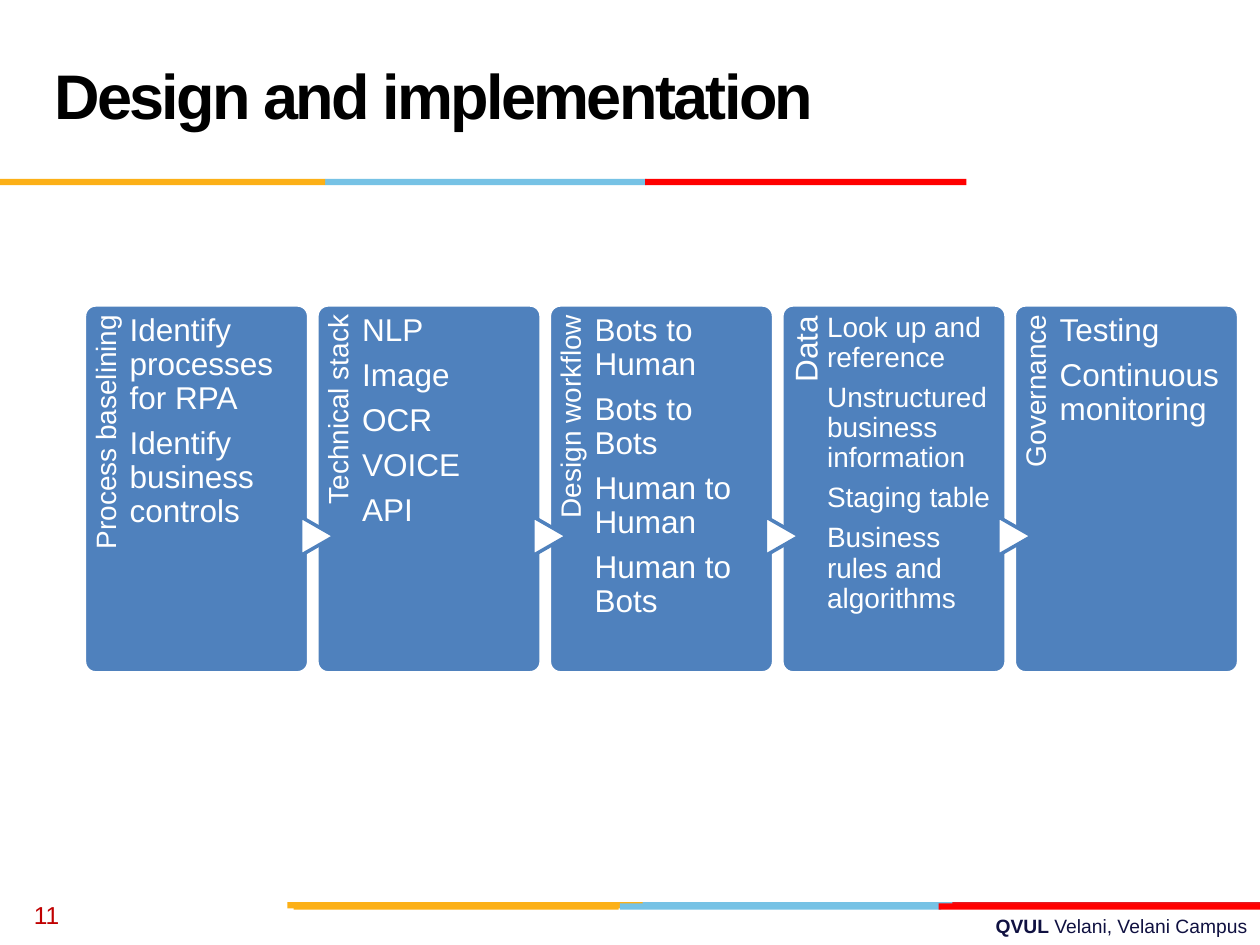
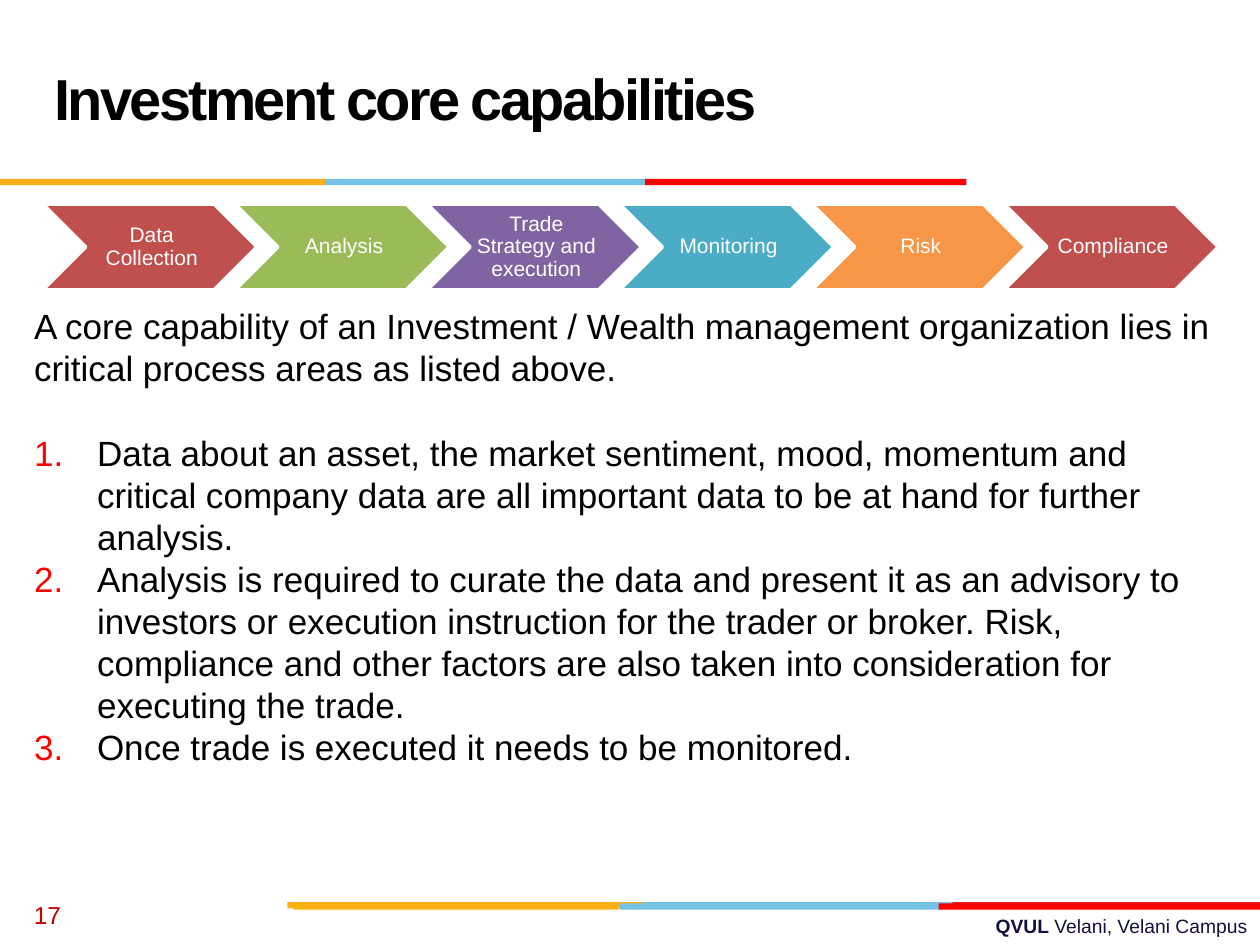
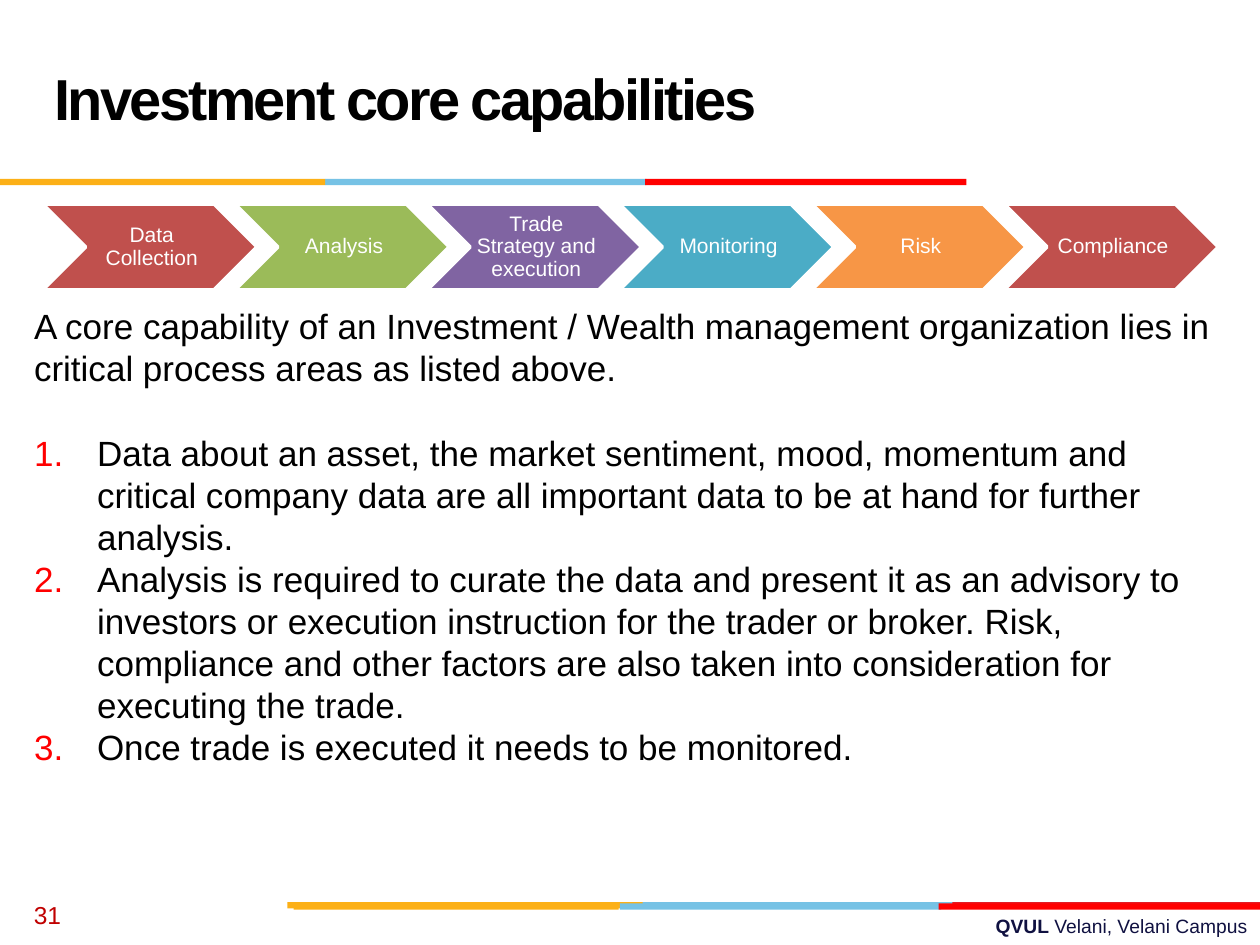
from lxml import etree
from pptx import Presentation
from pptx.dml.color import RGBColor
from pptx.enum.shapes import MSO_SHAPE
from pptx.enum.text import MSO_ANCHOR, MSO_AUTO_SIZE, PP_ALIGN
from pptx.oxml.ns import qn
from pptx.util import Inches, Pt

RECT = MSO_SHAPE.RECTANGLE
ROUND = MSO_SHAPE.ROUNDED_RECTANGLE
CHEVRON = MSO_SHAPE.CHEVRON
ARROW = MSO_SHAPE.FLOWCHART_EXTRACT
LEFT, CENTER, RIGHT = PP_ALIGN.LEFT, PP_ALIGN.CENTER, PP_ALIGN.RIGHT
TOP, MIDDLE = MSO_ANCHOR.TOP, MSO_ANCHOR.MIDDLE
FIXED = MSO_AUTO_SIZE.NONE

FONT = "Arial"
WHITE, BLACK, NAVY, CRIMSON = "FFFFFF", "000000", "101141", "C00000"
GOLD, SKY, RED, BRICK = "FCB017", "76C2E5", "FF0000", "E31C24"
BLUE = "4F81BD"
INSET = (0.1, 0.05, 0.1, 0.05)
TITLE_ONLY, CONTENT = 5, 1

BANDS = [
    (7.16, [(5.06, 2.55, SKY), (7.56, 2.44, BRICK), (2.28, 2.82, GOLD)]),
    (7.17, [(4.92, 2.55, SKY), (2.33, 2.58, GOLD), (7.45, 2.55, RED)]),
    (1.42, [(2.58, 2.55, SKY), (0, 2.58, GOLD), (5.12, 2.55, RED)]),
]
COLUMNS = [
    ("Process baselining", 16, 18,
     ["Identify processes for RPA", "Identify business controls"]),
    ("Technical stack", 16, 18, ["NLP", "Image", "OCR", "VOICE", "API"]),
    ("Design workflow", 16, 18,
     ["Bots to Human", "Bots to Bots", "Human to Human", "Human to Bots"]),
    ("Data", 18, 16,
     ["Look up and reference", "Unstructured business information",
      "Staging table", "Business rules and algorithms"]),
    ("Governance", 16, 18, ["Testing", "Continuous monitoring"]),
]
STEPS = [
    ("Data Collection", "C0504D"),
    ("Analysis", "9BBB59"),
    ("Trade Strategy and execution", "8064A2"),
    ("Monitoring", "4BACC6"),
    ("Risk", "F79646"),
    ("Compliance", "C0504D"),
]
INTRO = ("A core capability of an Investment / Wealth management organization "
         "lies in critical process areas as listed above.")
POINTS = [
    "Data about an asset, the market sentiment, mood, momentum and critical "
    "company data are all important data to be at hand for further analysis.",
    "Analysis is required to curate the data and present it as an advisory to "
    "investors or execution instruction for the trader or broker. Risk, "
    "compliance and other factors are also taken into consideration for "
    "executing the trade.",
    "Once trade is executed it needs to be monitored.",
]


def paint(target, color):
    """Set a solid colour on a fill."""
    target.solid()
    target.fore_color.rgb = RGBColor.from_string(color)


def place(shape, box):
    """Move a shape to a box given in inches."""
    shape.left, shape.top, shape.width, shape.height = map(Inches, box)


def frame(shape, inset=INSET, anchor=TOP):
    """Set up a wrapping text frame and return it."""
    text = shape.text_frame
    text.word_wrap = True
    text.auto_size = FIXED
    text.vertical_anchor = anchor
    (text.margin_left, text.margin_top,
     text.margin_right, text.margin_bottom) = map(Inches, inset)
    return text


def label(slide, box, inset=INSET, anchor=TOP, turn=0):
    """Add a text box and return its frame."""
    shape = slide.shapes.add_textbox(*map(Inches, box))
    shape.rotation = turn
    return frame(shape, inset, anchor)


def add_run(para, text, size, color, bold=False):
    """Add one formatted run."""
    run = para.add_run()
    run.text = text
    font = run.font
    font.name, font.size, font.bold = FONT, Pt(size), bold
    paint(font.fill, color)
    return run


def write(text, lines, size, color, align=LEFT, tight=False):
    """Write one paragraph per line and return the paragraphs."""
    for i, line in enumerate(lines):
        para = text.add_paragraph() if i else text.paragraphs[0]
        para.alignment = align
        para.space_before = Pt(0)
        if tight:
            para.line_spacing = 0.9
            para.space_after = Pt(0.35 * size)
        add_run(para, line, size, color)
    return text.paragraphs


def add_shape(slide, kind, box, fill, line=None):
    """Add a flat preset shape with an optional outline."""
    shape = slide.shapes.add_shape(kind, *map(Inches, box))
    shape.shadow.inherit = False
    paint(shape.fill, fill)
    if line:
        paint(shape.line.fill, line)
        shape.line.width = Pt(2)
    else:
        shape.line.fill.background()
    return shape


def set_bullet(para, color=None):
    """Number a paragraph in a colour, or clear its bullet."""
    props = para._p.get_or_add_pPr()
    hang = Inches(0.5) if color else 0
    props.set("marL", str(hang))
    props.set("indent", str(-hang))
    if color:
        tint = etree.SubElement(props, qn("a:buClr"))
        etree.SubElement(tint, qn("a:srgbClr"), val=color)
        etree.SubElement(props, qn("a:buAutoNum"), type="arabicPeriod")
    else:
        etree.SubElement(props, qn("a:buNone"))


def start(deck, layout, title, size, page):
    """Add a slide with bands, footer, title and page number."""
    slide = deck.slides.add_slide(deck.slide_layouts[layout])
    foot = label(slide, (3.58, 7.21, 6.42, 0.29)).paragraphs[0]
    foot.alignment = RIGHT
    add_run(foot, "QVUL ", 11, NAVY, True)
    add_run(foot, "Velani, Velani Campus", 11, NAVY)
    for top, parts in BANDS:
        for left, width, color in parts:
            add_shape(slide, RECT, (left, top, width, 0.05), color)
    head = slide.shapes.title
    place(head, (0.33, 0.17, 6.92, 1.25))
    para = frame(head, anchor=MIDDLE).paragraphs[0]
    para.alignment = LEFT
    para.line_spacing = Pt(36)
    run = add_run(para, title, size, BLACK, True)
    run.font._element.set("spc", "-150")
    write(label(slide, (0.17, 7.06, 2.33, 0.4), anchor=MIDDLE),
          [str(page)], 14, CRIMSON)
    return slide


def add_column(slide, box, name, big, size, items):
    """Draw a panel with a sideways name and a list."""
    left, top, width, height = box
    panel = add_shape(slide, ROUND, box, BLUE, WHITE)
    panel.adjustments[0] = 0.05
    pad = big / 250
    side = label(slide, (left - 1.02, top + 1.01, 2.39, 0.36),
                 (0, pad, pad + 0.02, 0), turn=270)
    write(side, [name], big, WHITE, RIGHT, True)
    text = label(slide, (left + 0.36, top, width - 0.45, height),
                 (0, size / 250, 0, 0))
    write(text, items, size, WHITE, tight=True)


def add_columns(slide, box):
    """Spread the panels over a box, with an arrow between neighbours."""
    left, top, wide, height = box
    width = 1.78
    step = (wide - width) / (len(COLUMNS) - 1)
    for i, column in enumerate(COLUMNS):
        x = left + i * step
        add_column(slide, (x, top, width, height), *column)
        if i:
            arrow = add_shape(slide, ARROW, (x - 0.15, top + 1.7, 0.31, 0.27),
                              WHITE, BLUE)
            arrow.rotation = 90


def add_steps(slide, box):
    """Spread the chevrons over a box."""
    left, top, wide, height = box
    width = 1.7
    step = (wide - width) / (len(STEPS) - 1)
    for i, (name, color) in enumerate(STEPS):
        shape = add_shape(slide, CHEVRON,
                          (left + i * step, top, width, height), color, WHITE)
        text = frame(shape, (0.05, 0.02, 0.02, 0.02), MIDDLE)
        write(text, [name], 12, WHITE, CENTER, True)


def add_points(slide, box):
    """Fill the body with the intro and the numbered points."""
    body = slide.placeholders[1]
    place(body, box)
    intro, *points = write(frame(body), [INTRO, *POINTS], 20, BLACK)
    intro.space_after = Pt(24)
    set_bullet(intro)
    for para in points:
        set_bullet(para, RED)


def main():
    """Build and save the deck."""
    deck = Presentation()
    deck.slide_width, deck.slide_height = Inches(10), Inches(7.5)
    slide = start(deck, TITLE_ONLY, "Design and implementation", 36, 11)
    add_columns(slide, (0.67, 2.42, 9.16, 2.92))
    for page in (17, 31):
        slide = start(deck, CONTENT, "Investment core capabilities", 33, page)
        add_steps(slide, (0.34, 1.62, 9.33, 0.68))
        add_points(slide, (0.17, 2.37, 9.62, 4.14))
    deck.save("out.pptx")


if __name__ == "__main__":
    main()
